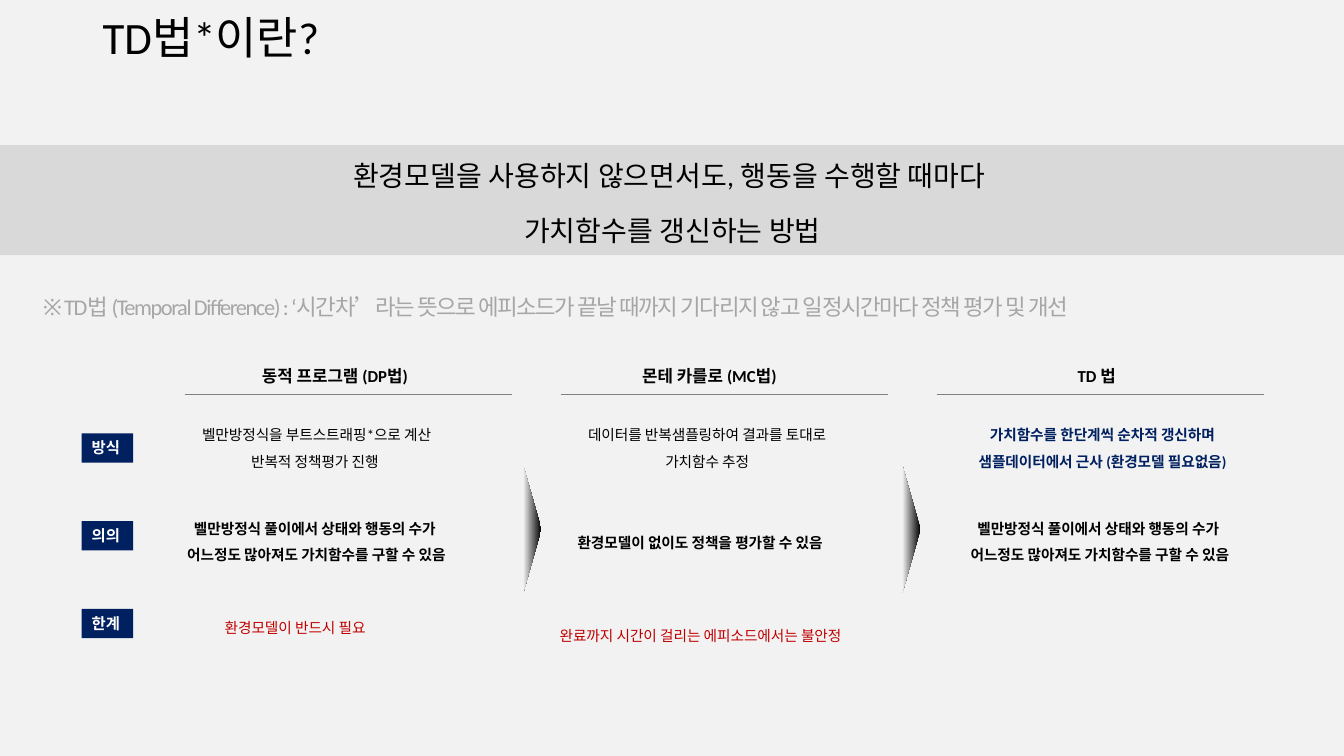
"""Build the slide that explains the TD method next to the DP and MC methods."""
import dataclasses

import pptx
import pptx.dml.color
import pptx.enum.shapes
import pptx.enum.text
import pptx.oxml.ns
import pptx.util
from lxml import etree

Inches = pptx.util.Inches
Pt = pptx.util.Pt
Align = pptx.enum.text.PP_ALIGN
Anchor = pptx.enum.text.MSO_ANCHOR
Preset = pptx.enum.shapes.MSO_SHAPE


@dataclasses.dataclass(frozen=True)
class Theme:
    """Colours, type sizes and font of the slide."""
    font: str = "Calibri"
    background: str = "F2F2F2"
    band: str = "D9D9D9"
    rule: str = "808080"
    note: str = "A6A6A6"
    black: str = "000000"
    white: str = "FFFFFF"
    navy: str = "002060"
    red: str = "C00000"
    title_size: float = 32
    message_size: float = 20
    note_size: float = 16
    heading_size: float = 12
    label_size: float = 11
    detail_size: float = 10.5


THEME = Theme()
COLUMN_LEFT, COLUMN_STEP, COLUMN_WIDTH = 1.83, 3.73, 3.25
ROW_TOP, ROW_STEP = 4.3, 0.87
ROW_LABELS = ["방식", "의의", "한계"]
HEADINGS = [
    ("동적 프로그램 (DP법)", 2.5, 1.97),
    ("몬테 카를로 (MC법)", 6.27, 1.84),
    ("TD 법", 10.59, 0.62),
]
SIGNIFICANCE = ["벨만방정식 풀이에서 상태와 행동의 수가 ",
                "어느정도 많아져도 가치함수를 구할 수 있음"]
DETAILS = [
    (["벨만방정식을 부트스트래핑*으로 계산", "반복적 정책평가 진행 "],
     (1.75, 4.09, 2.78, 0.63), THEME.black, False),
    (["데이터를 반복샘플링하여 결과를 토대로", "가치함수 추정"],
     (5.55, 4.09, 2.93, 0.63), THEME.black, False),
    (["가치함수를 한단계씩 순차적 갱신하며", "샘플데이터에서 근사 (환경모델 필요없음)"],
     (9.4, 4.09, 3.07, 0.63), THEME.navy, True),
    (SIGNIFICANCE, (1.53, 5.02, 3.22, 0.63), THEME.black, True),
    (["환경모델이 없이도 정책을 평가할 수 있음"],
     (5.41, 5.16, 3.07, 0.34), THEME.black, True),
    (SIGNIFICANCE, (9.3, 5.02, 3.22, 0.63), THEME.black, True),
    (["완료까지 시간이 걸리는 에피소드에서는 불안정"],
     (5.23, 6.08, 3.44, 0.34), THEME.red, False),
]


def rgb(color):
    """Return a colour object for a hexadecimal string."""
    return pptx.dml.color.RGBColor.from_string(color)


def write_text(shape, lines, size, color, bold=False, align=Align.LEFT, spacing=1.0,
               gap=0, wrap=False, fit=True, anchor=Anchor.TOP, tracking=0):
    """Fill a shape with one paragraph per line in a single style."""
    frame = shape.text_frame
    frame.word_wrap = wrap
    frame.vertical_anchor = anchor
    if fit:
        frame.auto_size = pptx.enum.text.MSO_AUTO_SIZE.SHAPE_TO_FIT_TEXT
    for index, line in enumerate(lines):
        paragraph = frame.add_paragraph() if index else frame.paragraphs[0]
        run = paragraph.add_run()
        run.text = line
        if tracking:
            run._r.get_or_add_rPr().set("spc", str(tracking * 100))
        paragraph.alignment = align
        paragraph.line_spacing = spacing
        paragraph.space_before = Pt(gap if index else 0)
        paragraph.font.name = THEME.font
        paragraph.font.size = Pt(size)
        paragraph.font.bold = bold
        paragraph.font.color.rgb = rgb(color)


def add_text(slide, box, lines, size, color, **style):
    """Add a text box at left, top, width and height in inches."""
    shape = slide.shapes.add_textbox(*map(Inches, box))
    write_text(shape, lines, size, color, **style)


def add_block(slide, box, color):
    """Add a plain filled rectangle without an outline."""
    shape = slide.shapes.add_shape(Preset.RECTANGLE, *map(Inches, box))
    shape.shadow.inherit = False
    shape.fill.solid()
    shape.fill.fore_color.rgb = rgb(color)
    shape.line.fill.background()
    return shape


def add_rule(slide, left, top, width):
    """Add a thin horizontal line."""
    line = slide.shapes.add_connector(
        pptx.enum.shapes.MSO_CONNECTOR.STRAIGHT,
        Inches(left), Inches(top), Inches(left + width), Inches(top))
    line.line.color.rgb = rgb(THEME.rule)
    line.line.width = Pt(0.5)
    etree.SubElement(line._element.spPr, pptx.oxml.ns.qn("a:effectLst"))


def add_step_arrow(slide, left):
    """Add a tall arrowhead that fades out towards its base."""
    arrow = slide.shapes.add_shape(
        Preset.RIGHT_ARROW, Inches(left), Inches(4.62), Inches(0.18), Inches(1.26))
    arrow.adjustments[0] = 0.5
    arrow.adjustments[1] = 1
    arrow.shadow.inherit = False
    arrow.line.fill.background()
    arrow.fill.gradient()
    arrow.fill.gradient_angle = 180
    for stop, color in zip(arrow.fill.gradient_stops, (THEME.black, THEME.background)):
        stop.color.rgb = rgb(color)


def add_introduction(slide):
    """Add the title, the message band and the note under it."""
    add_block(slide, (0, 1.44, 13.33, 1.09), THEME.band)
    add_text(slide, (0.92, 0.1, 11.5, 0.6), ["TD법*이란?"], THEME.title_size, THEME.black,
             spacing=0.9, wrap=True, fit=False, anchor=Anchor.MIDDLE)
    add_text(slide, (0.92, 1.46, 11.5, 0.87),
             ["환경모델을 사용하지 않으면서도, 행동을 수행할 때마다 ", "가치함수를 갱신하는 방법"],
             THEME.message_size, THEME.black, align=Align.CENTER, spacing=1.2,
             gap=10, wrap=True, fit=False)
    add_text(slide, (0.33, 2.81, 12.86, 0.4),
             ["※ TD법 (Temporal Difference) : ‘시간차’라는 뜻으로 에피소드가 끝날 때까지 "
              "기다리지 않고 일정시간마다 정책 평가 및 개선"],
             THEME.note_size, THEME.note, spacing=1.2, wrap=True, tracking=-1)


def add_comparison(slide):
    """Add the three methods in columns against the labelled rows."""
    for column, (heading, left, width) in enumerate(HEADINGS):
        add_rule(slide, COLUMN_LEFT + column * COLUMN_STEP, 3.91, COLUMN_WIDTH)
        add_text(slide, (left, 3.58, width, 0.3), [heading],
                 THEME.heading_size, THEME.black, bold=True)
    for row, label in enumerate(ROW_LABELS):
        block = add_block(slide, (0.81, ROW_TOP + row * ROW_STEP, 0.51, 0.29), THEME.navy)
        write_text(block, [label], THEME.label_size, THEME.white, bold=True)
    for lines, box, color, bold in DETAILS:
        add_text(slide, box, lines, THEME.detail_size, color, bold=bold,
                 align=Align.CENTER, spacing=1.5)
    add_text(slide, (2.13, 6.09, 1.82, 0.28), ["환경모델이 반드시 필요"],
             THEME.detail_size, THEME.red)
    for left in (5.19, 8.95):
        add_step_arrow(slide, left)


def main():
    """Build and save the presentation."""
    presentation = pptx.Presentation()
    presentation.slide_width = Inches(13.33)
    presentation.slide_height = Inches(7.5)
    slide = presentation.slides.add_slide(presentation.slide_layouts[6])
    slide.background.fill.solid()
    slide.background.fill.fore_color.rgb = rgb(THEME.background)
    add_introduction(slide)
    add_comparison(slide)
    presentation.save("out.pptx")


if __name__ == "__main__":
    main()
